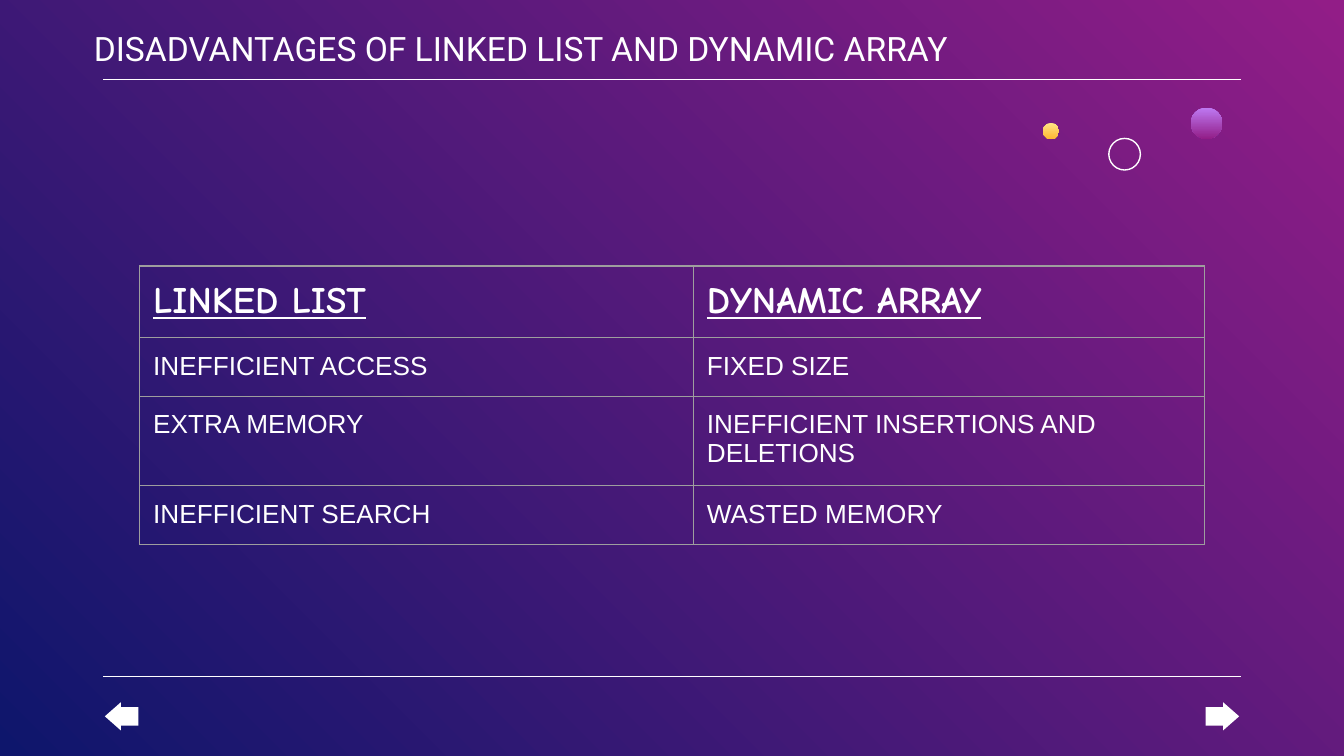
import dataclasses

import lxml.etree
import pptx
import pptx.dml.color
import pptx.enum.shapes
import pptx.oxml
import pptx.oxml.ns
import pptx.util

Shape = pptx.enum.shapes.MSO_SHAPE
UNIT = pptx.util.Inches(0.1)
COLUMNS, ROWS = 100, 56.25


@dataclasses.dataclass(frozen=True)
class Theme:
    white: str = "FFFFFF"
    border: str = "9E9E9E"
    backdrop: tuple = ("921D87", "0E166C")
    gold: tuple = ("FFE485", "FFB632")
    violet: tuple = ("BE7AF3", "921D87")
    title: tuple = ("Roboto", 18)
    heading: tuple = ("Comic Neue", 20)
    body: tuple = ("Arial", 14)
    rule: float = 0.75


@dataclasses.dataclass(frozen=True)
class Box:
    left: float
    top: float
    width: float
    height: float

    def inner(self, left, top, width, height):
        return Box(self.left + left, self.top + top, width, height)

    def emu(self):
        return [round(side * UNIT) for side in dataclasses.astuple(self)]


THEME = Theme()
TABLE_COLUMNS = (41.2, 38)
TABLE_ROWS = (5.1, 4.2, 6.4, 4.2)
DRAWBACKS = (
    ("LINKED LIST", "DYNAMIC ARRAY"),
    ("INEFFICIENT ACCESS", "FIXED SIZE"),
    ("EXTRA MEMORY", "INEFFICIENT INSERTIONS AND DELETIONS"),
    ("INEFFICIENT SEARCH", "WASTED MEMORY"),
)


def rgb(color):
    return pptx.dml.color.RGBColor.from_string(color)


def paint_gradient(fill, colors, angle):
    fill.gradient()
    fill.gradient_angle = angle
    for stop, color, position in zip(fill.gradient_stops, colors, (0, 1)):
        stop.color.rgb = rgb(color)
        stop.position = position


def write(frame, text, style, strong=False):
    frame.word_wrap = True
    para = frame.paragraphs[0]
    para.text = text
    font = para.font
    font.name, size = style
    font.size = pptx.util.Pt(size)
    font.color.rgb = rgb(THEME.white)
    font.bold = font.underline = strong


def add_rule(page, box):
    left, top, width, _ = box.emu()
    rule = page.shapes.add_connector(
        pptx.enum.shapes.MSO_CONNECTOR.STRAIGHT, left, top, left + width, top)
    rule.line.color.rgb = rgb(THEME.white)
    rule.line.width = pptx.util.Pt(THEME.rule)
    lxml.etree.SubElement(rule._element.spPr, pptx.oxml.ns.qn("a:effectLst"))


def add_plain_shape(page, kind, box):
    shape = page.shapes.add_shape(kind, *box.emu())
    shape.shadow.inherit = False
    shape.line.fill.background()
    return shape


def add_header(page, box):
    add_rule(page, box.inner(1.7, 4.8, 84.6, 0))
    title = page.shapes.add_textbox(*box.inner(0, 0, 86.2, 3.7).emu())
    frame = title.text_frame
    frame.margin_left = frame.margin_right = UNIT
    frame.margin_top = frame.margin_bottom = UNIT
    write(frame, "DISADVANTAGES OF LINKED LIST AND DYNAMIC ARRAY", THEME.title)


def add_bubbles(page, box):
    ring = add_plain_shape(page, Shape.OVAL, box.inner(4.9, 2.3, 2.35, 2.35))
    ring.fill.background()
    ring.line.color.rgb = rgb(THEME.white)
    ring.line.width = pptx.util.Pt(THEME.rule)
    for left, top, size, colors in (
            (0, 1.15, 1.2, THEME.gold), (11, 0, 2.35, THEME.violet)):
        bubble = add_plain_shape(page, Shape.OVAL, box.inner(left, top, size, size))
        paint_gradient(bubble.fill, colors, 270)


def add_cell_borders(cell):
    properties = cell._tc.get_or_add_tcPr()
    for side in ("L", "R", "T", "B"):
        properties.append(pptx.oxml.parse_xml(
            f'<a:ln{side} {pptx.oxml.ns.nsdecls("a")} w="{pptx.util.Pt(THEME.rule)}">'
            f'<a:solidFill><a:srgbClr val="{THEME.border}"/></a:solidFill></a:ln{side}>'))


def add_comparison(page, box):
    table = page.shapes.add_table(
        len(TABLE_ROWS), len(TABLE_COLUMNS), *box.emu()).table
    table.first_row = table.horz_banding = False
    for column, width in zip(table.columns, TABLE_COLUMNS):
        column.width = round(width * UNIT)
    for index, (height, texts) in enumerate(zip(TABLE_ROWS, DRAWBACKS)):
        table.rows[index].height = round(height * UNIT)
        is_heading = index == 0
        style = THEME.heading if is_heading else THEME.body
        for cell, text in zip(table.rows[index].cells, texts):
            cell.margin_left = cell.margin_right = UNIT
            cell.margin_top = cell.margin_bottom = UNIT
            add_cell_borders(cell)
            cell.fill.background()
            write(cell.text_frame, text, style, is_heading)


def add_footer(page, box):
    add_rule(page, box.inner(0, 0, box.width, 0))
    width, height = 2.5, 2.1
    for kind, left in ((Shape.RIGHT_ARROW, box.width - width - 0.1),
                       (Shape.LEFT_ARROW, 0.1)):
        arrow = add_plain_shape(page, kind, box.inner(left, 1.9, width, height))
        arrow.adjustments[0] = 0.66
        arrow.adjustments[1] = 0.57
        arrow.fill.solid()
        arrow.fill.fore_color.rgb = rgb(THEME.white)


def main():
    deck = pptx.Presentation()
    deck.slide_width = COLUMNS * UNIT
    deck.slide_height = round(ROWS * UNIT)
    page = deck.slides.add_slide(deck.slide_layouts[6])
    paint_gradient(page.background.fill, THEME.backdrop, 225)
    slide = Box(0, 0, COLUMNS, ROWS)
    add_header(page, slide.inner(6, 1.1, 86.2, 4.8))
    add_footer(page, slide.inner(7.7, 50.35, 84.6, 4))
    add_bubbles(page, slide.inner(77.6, 8, 13.35, 4.65))
    add_comparison(page, slide.inner(
        10.4, 19.8, sum(TABLE_COLUMNS), sum(TABLE_ROWS)))
    deck.save("out.pptx")


if __name__ == "__main__":
    main()
